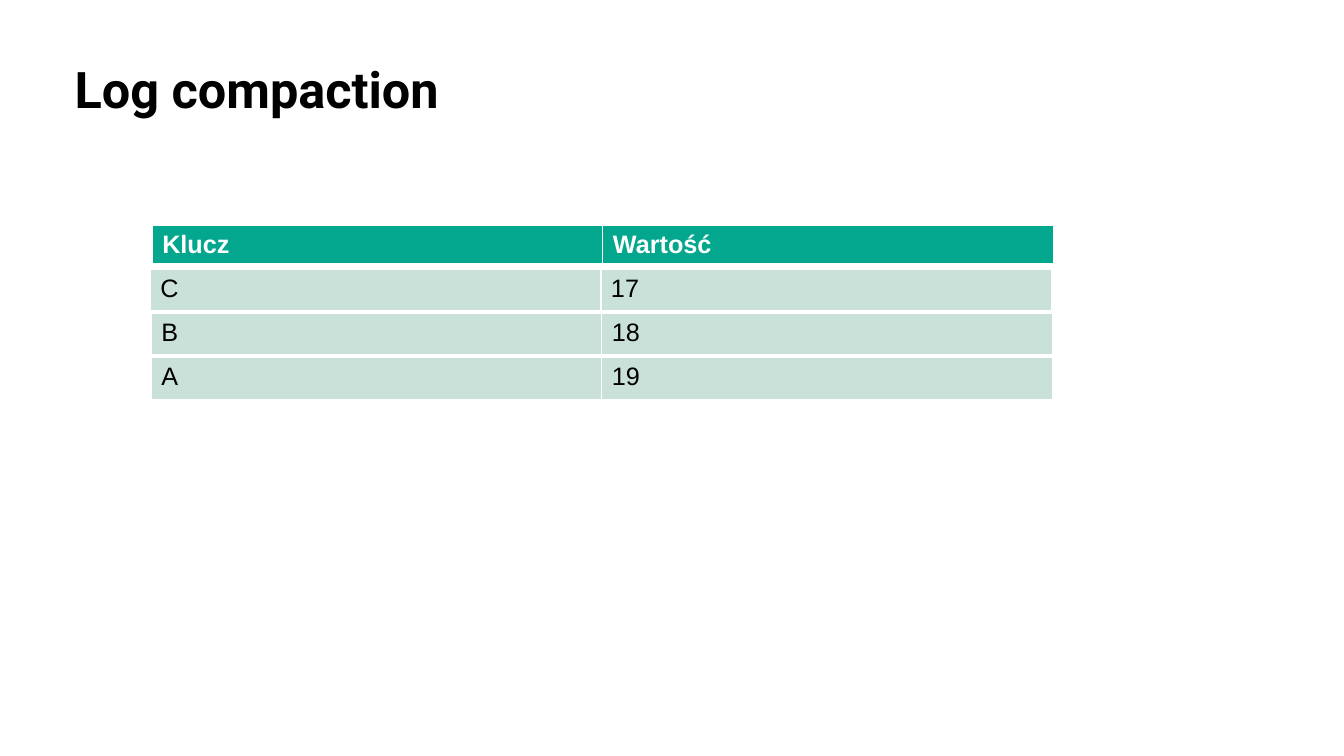
from dataclasses import dataclass

from lxml.etree import SubElement
from pptx import Presentation
from pptx.dml.color import RGBColor
from pptx.enum.text import MSO_ANCHOR, PP_ALIGN
from pptx.oxml.ns import qn
from pptx.slide import Slide
from pptx.table import _Cell
from pptx.text.text import TextFrame
from pptx.util import Inches, Pt

WHITE = RGBColor(0xFF, 0xFF, 0xFF)
BLACK = RGBColor(0x00, 0x00, 0x00)
GREEN = RGBColor(0x02, 0xA7, 0x8E)
PALE_GREEN = RGBColor(0xCA, 0xE1, 0xDA)
COLUMN_WIDTH = 4.47
FRAME_SIZE = 3.28


@dataclass(frozen=True)
class LogEntry:
    key: str
    value: str
    left: float
    top: float
    height: float = 0.41
    fill: RGBColor = PALE_GREEN
    color: RGBColor = BLACK
    bold: bool = False
    bottom_border: int = 1


LOG = [
    LogEntry("Klucz", "Wartość", 1.51, 2.24, height=0.39, fill=GREEN,
             color=WHITE, bold=True, bottom_border=3),
    LogEntry("C", "17", 1.49, 2.67),
    LogEntry("B", "18", 1.5, 3.11),
    LogEntry("A", "19", 1.5, 3.55),
]


def write(frame: TextFrame, text: str, *, size: int, font: str = "Arial",
          color: RGBColor = BLACK, bold: bool = False) -> None:
    paragraph = frame.paragraphs[0]
    paragraph.alignment = PP_ALIGN.LEFT
    run = paragraph.add_run()
    run.text = text
    run.font.name = font
    run.font.size = Pt(size)
    run.font.bold = bold
    run.font.color.rgb = color


def add_borders(cell: _Cell, bottom: int) -> None:
    """Draw white borders; must run before the cell gets its fill."""
    properties = cell._tc.get_or_add_tcPr()
    for side, width in {"L": 1, "R": 1, "T": 1, "B": bottom}.items():
        line = SubElement(properties, qn(f"a:ln{side}"), w=str(Pt(width)))
        fill = SubElement(line, qn("a:solidFill"))
        SubElement(fill, qn("a:srgbClr"), val=str(WHITE))


def add_entry(slide: Slide, entry: LogEntry) -> None:
    """Add one log entry as a one-row table, wider than its square frame."""
    frame = slide.shapes.add_table(
        1, 2, Inches(entry.left), Inches(entry.top),
        Inches(2 * COLUMN_WIDTH), Inches(entry.height))
    frame.width = frame.height = Inches(FRAME_SIZE)
    table = frame.table
    table.first_row = entry.bold
    table.horz_banding = False
    for cell, text in zip(table.iter_cells(), (entry.key, entry.value)):
        add_borders(cell, entry.bottom_border)
        cell.fill.solid()
        cell.fill.fore_color.rgb = entry.fill
        write(cell.text_frame, text, size=18, color=entry.color,
              bold=entry.bold)


def add_title(slide: Slide, text: str) -> None:
    title = slide.shapes.title
    title.left, title.top = Inches(0.74), Inches(0)
    title.width, title.height = Inches(11.84), Inches(1.23)
    frame = title.text_frame
    frame.word_wrap = True
    frame.vertical_anchor = MSO_ANCHOR.BOTTOM
    frame.margin_left = frame.margin_right = Inches(0)
    frame.margin_top = frame.margin_bottom = Inches(0.05)
    write(frame, text, size=36, font="Roboto", bold=True)


def main() -> None:
    presentation = Presentation()
    presentation.slide_width = Inches(13.33)
    presentation.slide_height = Inches(7.5)
    title_only = presentation.slide_layouts.get_by_name("Title Only")
    slide = presentation.slides.add_slide(title_only)
    add_title(slide, "Log compaction")
    for entry in LOG:
        add_entry(slide, entry)
    presentation.save("out.pptx")


if __name__ == "__main__":
    main()
